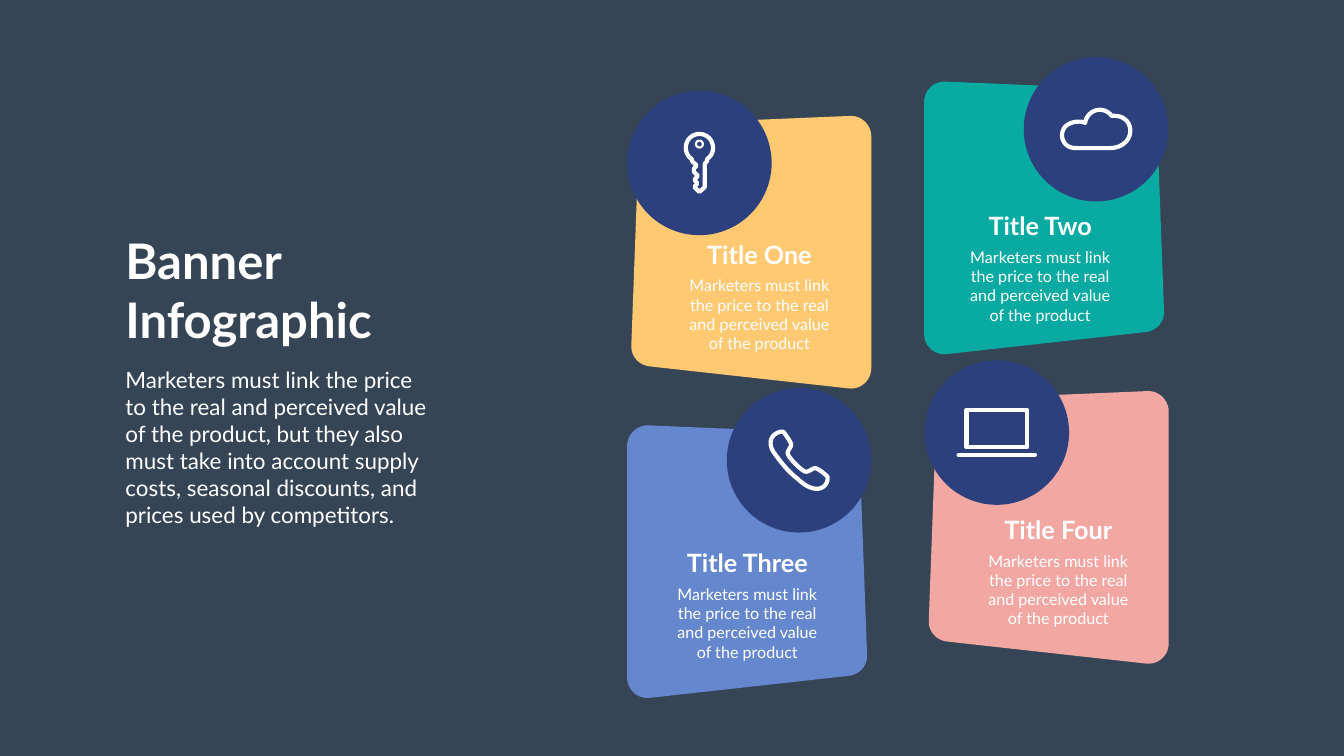
import pptx
import pptx.dml.color
import pptx.enum.shapes
import pptx.enum.text
import pptx.oxml.ns
import pptx.util
import lxml.etree

Pt = pptx.util.Pt
RGB = pptx.dml.color.RGBColor
KIND = pptx.enum.shapes.MSO_SHAPE
ALIGN = pptx.enum.text.PP_ALIGN

SLATE = RGB(0x36, 0x45, 0x56)
NAVY = RGB(0x2C, 0x40, 0x7E)
WHITE = RGB(0xFF, 0xFF, 0xFF)
TEAL = RGB(0x08, 0xAA, 0xA2)
AMBER = RGB(0xFF, 0xC9, 0x71)
PINK = RGB(0xF3, 0xA7, 0xA3)
BLUE = RGB(0x65, 0x87, 0xCD)

FONT = "Lato"
STROKE = 6
DISC = 206.4
CARD_W = 343
LIP = 5.7  # how far a disc sticks out past its card
BODY = "Marketers must link the price to the real and perceived value of the product"
INTRO = (BODY + ", but they also must take into account supply costs, "
         "seasonal discounts, and prices used by competitors.")

# name, colour, icon, mirrored, card left, card top, disc top, text centre, title top, title width
CARDS = [
    ("Title Two", TEAL, "cloud", False, 1319.8, 115.9, 81.4, 1485.7, 297.4, 170.6),
    ("Title One", AMBER, "key", True, 901.4, 164.9, 129.6, 1084.7, 338.4, 170.6),
    ("Title Four", PINK, "laptop", True, 1326.2, 558, 514.8, 1511.6, 731.5, 170.6),
    ("Title Three", BLUE, "phone", False, 895.7, 607, 554.4, 1067.4, 779, 203.8),
]

# A path is a start point, then lines (x, y) and curves (x1, y1, x2, y2, x, y).
BANNER = [
    (32.4, 390), (316, 358.6), (332, 357, 343.5, 344, 342.7, 328.3),
    (332, 40.3), (331.2, 25.2, 319, 13, 303.8, 12.2),
    (30.2, 0.7), (13.7, 0, 0, 13.7, 0, 30.2),
    (0, 360.7), (0, 378.7, 15, 392, 32.4, 390),
]

# Icon paths are measured from the centre of the disc.
ICONS = {
    "cloud": [
        (-27.7, 27), (-36.4, 27, -42.8, 24.1, -46.1, 17.6),
        (-49.3, 11.9, -49.3, 5.4, -46.1, -0.4), (-44.3, -4, -41.4, -6.1, -37.8, -7.9),
        (-34.2, -9.7, -29.2, -10.8, -24.1, -10.8), (-21.2, -10.8, -18.4, -10.4, -15.5, -9),
        (-14, -19.8, -4.7, -27.7, 5.4, -27.7), (11.9, -27.7, 18.4, -24.8, 22.3, -19.1),
        (26.3, -19.1), (33.5, -19.1, 39.2, -16.6, 43.6, -12.2),
        (47.2, -8.3, 49, -3.2, 49, 2.5), (48.6, 9, 46.4, 14.8, 41.4, 19.1),
        (36.4, 24.1, 28.4, 27, 19.8, 27),
    ],
    "key": [
        (0, -41.4), (10.8, -41.4, 19.4, -32.8, 19.4, -22),
        (19.4, -18.4, 18.7, -14.8, 16.9, -11.9), (15.1, -9, 13.3, -7.6, 11.2, -5.8),
        (10.8, -2.5), (7.6, 1.1), (7.6, 34.6), (0, 41.4), (-7.2, 34.2), (-2.9, 29.2),
        (-7.2, 24.1), (-2.2, 18.4), (-7.9, 12.6), (-7.9, 8.3), (-4, 3.6),
        (-10.4, -2.5), (-11.2, -5.8), (-16.6, -9.4, -19.4, -15.5, -19.4, -22),
        (-19.4, -32.8, -10.8, -41.4, 0, -41.4),
    ],
    "laptop": [(-43.4, 20.9), (43.4, 20.9), (43.4, -32.4), (-43.4, -32.4)],
    "phone": [
        (-22.3, -40.7), (-28.4, -41.8, -35.6, -37.8, -38.9, -32),
        (-42.1, -25.6, -40.7, -17.6, -35.3, -10.4), (-30.2, -3.2, -24.8, 4, -19.1, 10.4),
        (-13.7, 16.2, -8.3, 21.6, -2.2, 26.3), (3.6, 31.3),
        (9.7, 36.4, 17.6, 40.7, 25.6, 40.7), (34.9, 40.7, 42.1, 32.8, 40.7, 23.4),
        (36.4, 19.1, 27.7, 11.9, 23, 11.2), (19.1, 11.2, 14, 16.9, 9.7, 16.2),
        (6.8, 16.2, 0.4, 10.4, -2.5, 7.6), (-6.1, 4, -9.7, 0.7, -12.2, -2.9),
        (-14.8, -5.8, -16.2, -9, -16.2, -10.8), (-16.2, -14, -11.2, -19.1, -11.2, -22),
        (-11.2, -25.6, -18.4, -35.6, -22.3, -40.7),
    ],
}


def flatten(path, steps=12):
    """Turn lines and cubic curves into a list of points."""
    points = [path[0]]
    for seg in path[1:]:
        if len(seg) == 2:
            points.append(seg)
            continue
        ends = [points[-1], seg[:2], seg[2:4], seg[4:]]
        for i in range(1, steps + 1):
            t = i / steps
            mix = ((1 - t) ** 3, 3 * t * (1 - t) ** 2, 3 * t * t * (1 - t), t ** 3)
            points.append(tuple(sum(m * p[k] for m, p in zip(mix, ends)) for k in (0, 1)))
    return points


def trace(slide, path, x, y, flip=False):
    sign = -1 if flip else 1
    points = [(Pt(x + sign * px), Pt(y + py)) for px, py in flatten(path)]
    pen = slide.shapes.build_freeform(*points[0])
    pen.add_line_segments(points[1:], close=True)
    return pen.convert_to_shape()


def paint(shape, color):
    shape.shadow.inherit = False
    shape.fill.solid()
    shape.fill.fore_color.rgb = color
    shape.line.fill.background()


def ink(shape, width=STROKE):
    """Give a shape or connector a white line with round ends and joins."""
    shape.line.color.rgb = WHITE
    shape.line.width = Pt(width)
    ln = shape.line._get_or_add_ln()
    ln.set("cap", "rnd")
    lxml.etree.SubElement(ln, pptx.oxml.ns.qn("a:round"))


def hollow(shape, width=STROKE):
    shape.shadow.inherit = False
    shape.fill.background()
    ink(shape, width)


def oval(slide, x, y, size):
    return slide.shapes.add_shape(KIND.OVAL, Pt(x), Pt(y), Pt(size), Pt(size))


def icon(slide, name, x, y):
    hollow(trace(slide, ICONS[name], x, y))
    if name == "key":
        hollow(oval(slide, x - 5, y - 32, 10), 3)
    elif name == "laptop":
        base = slide.shapes.add_connector(
            pptx.enum.shapes.MSO_CONNECTOR.STRAIGHT,
            Pt(x - 54.4), Pt(y + 32), Pt(x + 54.4), Pt(y + 32))
        ink(base)
        lxml.etree.SubElement(base._element.spPr, pptx.oxml.ns.qn("a:effectLst"))


def write(slide, lines, x, y, w, h, size, bold=False, align=ALIGN.LEFT, wrap=True):
    frame = slide.shapes.add_textbox(Pt(x), Pt(y), Pt(w), Pt(h)).text_frame
    frame.word_wrap = wrap
    frame.auto_size = pptx.enum.text.MSO_AUTO_SIZE.SHAPE_TO_FIT_TEXT
    for i, line in enumerate(lines):
        para = frame.add_paragraph() if i else frame.paragraphs[0]
        para.alignment = align
        run = para.add_run()
        run.text = line
        run.font.name = FONT
        run.font.size = Pt(size)
        run.font.bold = bold
        run.font.color.rgb = WHITE


def main():
    deck = pptx.Presentation()
    deck.slide_width, deck.slide_height = Pt(1919.52), Pt(1080)
    slide = deck.slides.add_slide(deck.slide_layouts[6])
    slide.background.fill.solid()
    slide.background.fill.fore_color.rgb = SLATE

    for name, color, sign, flip, left, top, disc_y, mid, text_y, width in CARDS:
        paint(trace(slide, BANNER, left + CARD_W * flip, top, flip), color)
        disc_x = left - LIP if flip else left + CARD_W + LIP - DISC
        paint(oval(slide, disc_x, disc_y, DISC), NAVY)
        icon(slide, sign, disc_x + DISC / 2, disc_y + DISC / 2)
        write(slide, [name], mid - width / 2, text_y, width, 51, 36, True, ALIGN.CENTER)
        write(slide, [BODY], mid - 118.4, text_y + 52, 236.8, 118.8, 23, align=ALIGN.CENTER)

    write(slide, ["Banner", "Infographic"], 172, 325.4, 375.8, 177, 70, True, wrap=False)
    write(slide, [INTRO], 172, 519.8, 452.2, 239.8, 32)
    deck.save("out.pptx")


if __name__ == "__main__":
    main()
